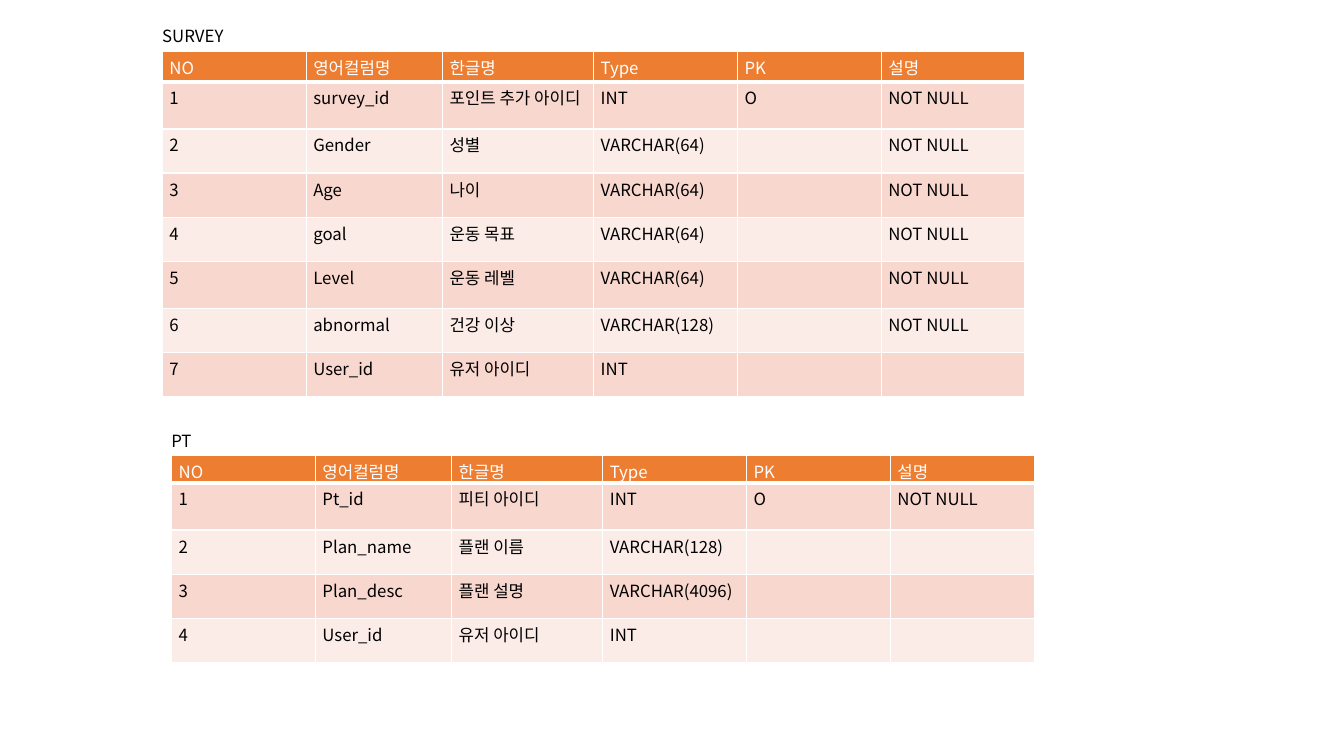
from lxml.etree import SubElement
from pptx import Presentation
from pptx.dml.color import RGBColor
from pptx.enum.text import MSO_AUTO_SIZE
from pptx.oxml.ns import qn
from pptx.util import Pt

WHITE = RGBColor(0xFF, 0xFF, 0xFF)
BLACK = RGBColor(0x00, 0x00, 0x00)
ORANGE = RGBColor(0xED, 0x7D, 0x31)
BANDS = (RGBColor(0xF8, 0xD7, 0xCE), RGBColor(0xFC, 0xEC, 0xE8))

FONT = "Noto Sans CJK KR"
COLUMN_WIDTHS = (102.75, 97.3, 108, 102.75, 102.75, 102.75)
HEADER = ("NO", "영어컬럼명", "한글명", "Type", "PK", "설명")
LABEL_HEIGHT = 21.8
LABEL_INSET = 7.2
SHORT_ROW, TALL_ROW = 31.5, 33.6

# English name, Korean name, type, primary key, description
SURVEY = (
    ("survey_id", "포인트 추가 아이디", "INT", "O", "NOT NULL"),
    ("Gender", "성별", "VARCHAR(64)", "", "NOT NULL"),
    ("Age", "나이", "VARCHAR(64)", "", "NOT NULL"),
    ("goal", "운동 목표", "VARCHAR(64)", "", "NOT NULL"),
    ("Level", "운동 레벨", "VARCHAR(64)", "", "NOT NULL"),
    ("abnormal", "건강 이상", "VARCHAR(128)", "", "NOT NULL"),
    ("User_id", "유저 아이디", "INT", "", ""),
)
PT_PLAN = (
    ("Pt_id", "피티 아이디", "INT", "O", "NOT NULL"),
    ("Plan_name", "플랜 이름", "VARCHAR(128)", "", ""),
    ("Plan_desc", "플랜 설명", "VARCHAR(4096)", "", ""),
    ("User_id", "유저 아이디", "INT", "", ""),
)


def add_run(p, text, color):
    r = p.add_run()
    r.text = text
    r.font.size = Pt(12)
    r.font.bold = False
    r.font.name = FONT
    r.font.color.rgb = color
    SubElement(r.font._element, qn("a:ea"), typeface=FONT)


def set_borders(cell, bottom):
    """White lines of 1 pt on three sides, and of the given width below."""
    tcPr = cell._tc.get_or_add_tcPr()
    sides = (("lnL", 1), ("lnR", 1), ("lnT", 1), ("lnB", bottom))
    for i, (side, width) in enumerate(sides):
        ln = tcPr.makeelement(qn(f"a:{side}"), {"w": str(Pt(width))})
        fill = SubElement(ln, qn("a:solidFill"))
        SubElement(fill, qn("a:srgbClr"), val=str(WHITE))
        tcPr.insert(i, ln)


def fill_cell(cell, text, fill, color, bottom):
    cell.margin_left = cell.margin_right = Pt(5.1)
    cell.margin_top = cell.margin_bottom = Pt(2.5)
    cell.fill.solid()
    cell.fill.fore_color.rgb = fill
    set_borders(cell, bottom)
    if text:
        add_run(cell.text_frame.paragraphs[0], text, color)


def add_label(slide, text, left, top):
    sp = slide.shapes.add_textbox(Pt(left), Pt(top), Pt(172), Pt(LABEL_HEIGHT))
    tf = sp.text_frame
    tf.word_wrap = True
    tf.auto_size = MSO_AUTO_SIZE.SHAPE_TO_FIT_TEXT
    add_run(tf.paragraphs[0], text, BLACK)


def add_schema(slide, name, columns, left, top, header_height, tall_rows):
    """Place a database table's definition at left, top, with its name above."""
    add_label(slide, name, left - LABEL_INSET, top - LABEL_HEIGHT)
    heights = [header_height] + [
        TALL_ROW if n in tall_rows else SHORT_ROW
        for n in range(1, len(columns) + 1)]
    table = slide.shapes.add_table(
        len(heights), len(HEADER), Pt(left), Pt(top),
        Pt(sum(COLUMN_WIDTHS)), Pt(sum(heights))).table
    table.first_row = table.horz_banding = False
    for column, width in zip(table.columns, COLUMN_WIDTHS):
        column.width = Pt(width)
    for row, height in zip(table.rows, heights):
        row.height = Pt(height)

    for c, text in enumerate(HEADER):
        fill_cell(table.cell(0, c), text, ORANGE, WHITE, 3)
    for n, values in enumerate(columns, 1):
        for c, text in enumerate((str(n), *values)):
            fill_cell(table.cell(n, c), text, BANDS[(n - 1) % 2], BLACK, 1)


def main():
    prs = Presentation()
    prs.slide_width, prs.slide_height = Pt(960), Pt(540)
    slide = prs.slides.add_slide(prs.slide_layouts[6])
    add_schema(slide, "SURVEY", SURVEY, 116, 36.9, 21.6, (1, 5))
    add_schema(slide, "PT", PT_PLAN, 122.5, 325.6, 19.2, (1,))
    prs.save("out.pptx")


if __name__ == "__main__":
    main()
